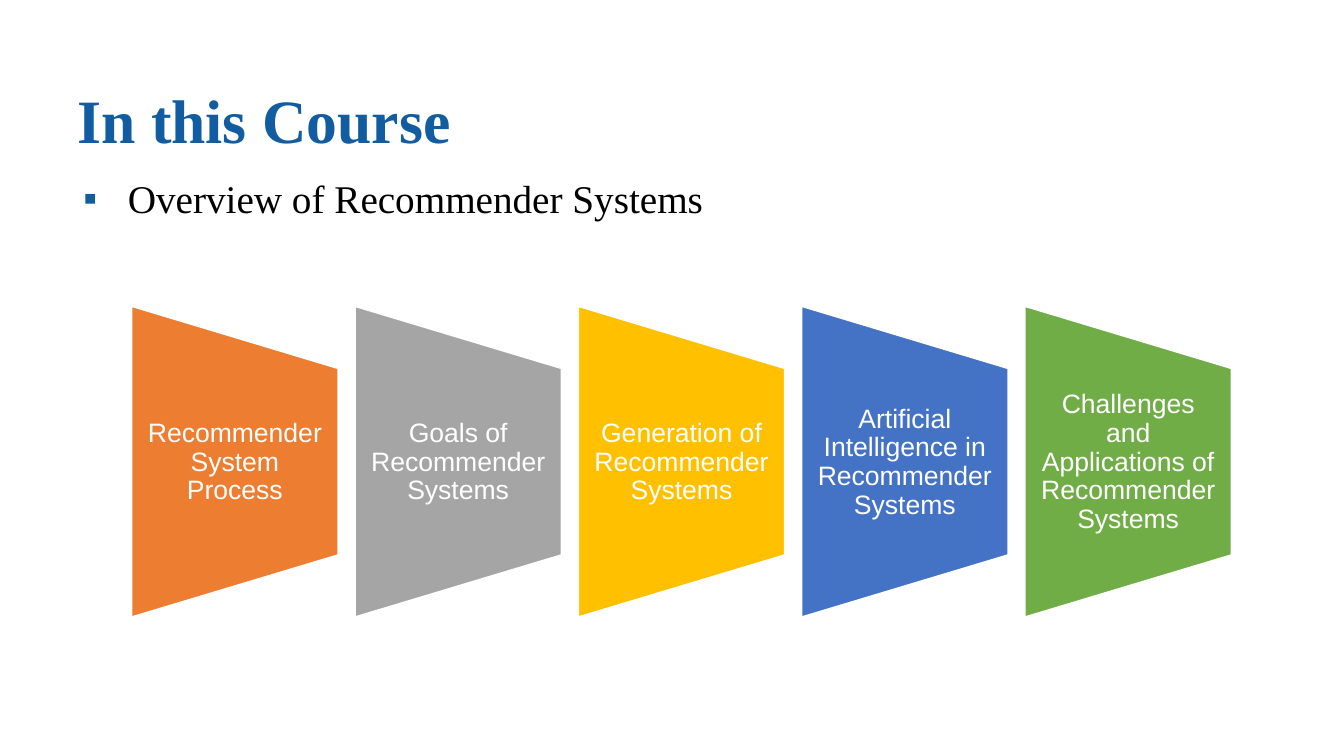
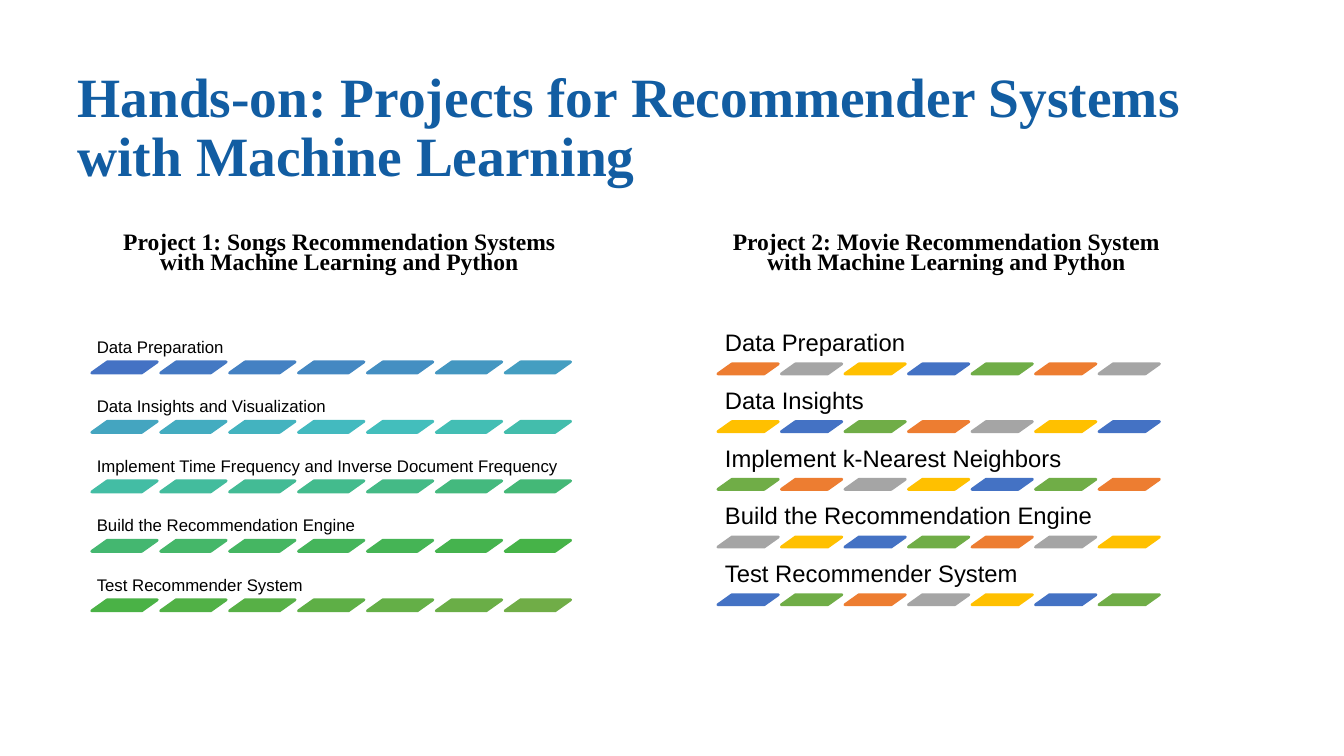
from colorsys import hls_to_rgb, rgb_to_hls

from lxml.etree import SubElement
from pptx import Presentation
from pptx.dml.color import RGBColor
from pptx.enum.shapes import MSO_SHAPE
from pptx.enum.text import MSO_ANCHOR, PP_ALIGN
from pptx.oxml.ns import qn
from pptx.util import Inches, Pt

COLORS = {
    "title": "125DA2", "text": "000000", "white": "FFFFFF",
    "orange": "ED7D31", "gray": "A5A5A5", "gold": "FFC000",
    "blue": "4472C4", "green": "70AD47",
}
ACCENTS = [COLORS[name] for name in ("orange", "gray", "gold", "blue", "green")]
SERIF, SANS = "Times New Roman", "Arial"
DASHES_PER_STEP = 7


def blend(start, end, count):
    first, last = (
        rgb_to_hls(*(channel / 255 for channel in RGBColor.from_string(color)))
        for color in (start, end)
    )
    shades = []
    for index in range(count):
        hls = [a + (b - a) * index / (count - 1) for a, b in zip(first, last)]
        shades.append(str(RGBColor(*(round(c * 255) for c in hls_to_rgb(*hls)))))
    return shades


class Deck:
    def __init__(self):
        self.presentation = Presentation()
        self.presentation.slide_width = Inches(13.33)
        self.presentation.slide_height = Inches(7.5)
        self.slide = None

    def new_slide(self):
        layout = self.presentation.slide_layouts[6]
        self.slide = self.presentation.slides.add_slide(layout)

    def text(self, words, box, size, font=SANS, color=COLORS["text"], bold=False,
             inset=(0.1, 0.05), anchor=MSO_ANCHOR.TOP, align=PP_ALIGN.LEFT,
             spacing=0.9, before=0):
        frame = self.slide.shapes.add_textbox(*map(Inches, box)).text_frame
        across, down = map(Inches, inset)
        frame_format = {
            "word_wrap": True, "vertical_anchor": anchor,
            "margin_left": across, "margin_right": across,
            "margin_top": down, "margin_bottom": down,
        }
        paragraph = frame.paragraphs[0]
        run = paragraph.add_run()
        run.text = words
        paragraph_format = {
            "alignment": align, "line_spacing": spacing, "space_before": Pt(before),
        }
        font_format = {"name": font, "size": Pt(size), "bold": bold}
        for target, values in ((frame, frame_format), (paragraph, paragraph_format),
                               (run.font, font_format)):
            for attribute, value in values.items():
                setattr(target, attribute, value)
        run.font.color.rgb = RGBColor.from_string(color)
        return paragraph

    def title(self, words, top, height, size):
        self.text(words, (0.67, top, 12, height), size, SERIF, COLORS["title"],
                  bold=True, anchor=MSO_ANCHOR.MIDDLE)

    def bullet(self, words, box, size):
        paragraph = self.text(words, box, size, SERIF, spacing=0.8, before=10)
        properties = paragraph._p.get_or_add_pPr()
        properties.set("marL", str(Inches(0.5)))
        properties.set("indent", str(Inches(-0.44)))
        marker_color = SubElement(properties, qn("a:buClr"))
        SubElement(marker_color, qn("a:srgbClr"), val=COLORS["title"])
        SubElement(properties, qn("a:buFont"), typeface=SANS)
        SubElement(properties, qn("a:buChar"), char="▪")

    def heading(self, words, left):
        paragraph = self.text(words, (left, 2.28, 4.83, 0.66), 16.8, SERIF, bold=True,
                              align=PP_ALIGN.CENTER, spacing=0.7, before=10)
        paragraph._p.get_or_add_pPr().set("marL", str(Inches(0.06)))

    def shape(self, kind, box, fill, line):
        shape = self.slide.shapes.add_shape(kind, *map(Inches, box))
        shape.shadow.inherit = False
        shape.fill.solid()
        shape.fill.fore_color.rgb = RGBColor.from_string(fill)
        shape.line.color.rgb = RGBColor.from_string(line)
        shape.line.width = Pt(2)
        return shape

    def topic(self, words, left, color):
        panel = self.shape(MSO_SHAPE.FLOWCHART_MANUAL_OPERATION,
                           (left, 3.55, 3.1, 2.06), color, COLORS["white"])
        panel.rotation = 270
        self.text(words, (left + 0.52, 3.66, 2.06, 1.86), 19, color=COLORS["white"],
                  inset=(0.13, 0), anchor=MSO_ANCHOR.MIDDLE, align=PP_ALIGN.CENTER)

    def steps(self, labels, colors, left, top, last_left, last_top,
              dash, label, size, inset):
        pitch = (last_left - left) / (DASHES_PER_STEP - 1)
        row_pitch = (last_top - top) / (len(labels) - 1)
        for row, words in enumerate(labels):
            dash_top = top + row * row_pitch
            self.text(words, (left, dash_top - label[1], *label), size,
                      inset=(inset, inset), anchor=MSO_ANCHOR.BOTTOM)
            for column in range(DASHES_PER_STEP):
                color = colors[(row * DASHES_PER_STEP + column) % len(colors)]
                mark = self.shape(MSO_SHAPE.PARALLELOGRAM,
                                  (left + column * pitch, dash_top, *dash), color, color)
                mark.adjustments[0] = 1.408


deck = Deck()

deck.new_slide()
deck.title("In this Course", 0.46, 1.53, 44)
deck.bullet("Overview of Recommender Systems", (0.67, 1.77, 7.94, 0.63), 28)
topics = [
    "Recommender System Process",
    "Goals of Recommender Systems",
    "Generation of Recommender Systems",
    "Artificial Intelligence in Recommender Systems",
    "Challenges and Applications of Recommender Systems",
]
topic_pitch = (9.64 - 0.78) / (len(topics) - 1)
for position, (topic, accent) in enumerate(zip(topics, ACCENTS)):
    deck.topic(topic, 0.78 + position * topic_pitch, accent)

deck.new_slide()
deck.title("Hands-on: Projects for Recommender Systems with Machine Learning",
           0.57, 1.42, 39.6)
songs_steps = [
    "Data Preparation",
    "Data Insights and Visualization",
    "Implement Time Frequency and Inverse Document Frequency",
    "Build the Recommendation Engine",
    "Test Recommender System",
]
movie_steps = [
    "Data Preparation",
    "Data Insights",
    "Implement k-Nearest Neighbors",
    "Build the Recommendation Engine",
    "Test Recommender System",
]
songs_colors = blend(COLORS["blue"], COLORS["green"], len(songs_steps) * DASHES_PER_STEP)
deck.steps(songs_steps, songs_colors, left=0.91, top=3.59, last_left=5.01, last_top=5.95,
           dash=(0.65, 0.11), label=(4.85, 0.44), size=12, inset=0.05)
deck.steps(movie_steps, ACCENTS, left=7.12, top=3.61, last_left=10.9, last_top=5.9,
           dash=(0.6, 0.1), label=(4.47, 0.41), size=17, inset=0.07)
deck.heading("Project 1: Songs Recommendation Systems with Machine Learning and Python", 0.92)
deck.heading("Project 2: Movie Recommendation System with Machine Learning and Python", 6.94)

deck.presentation.save("out.pptx")
